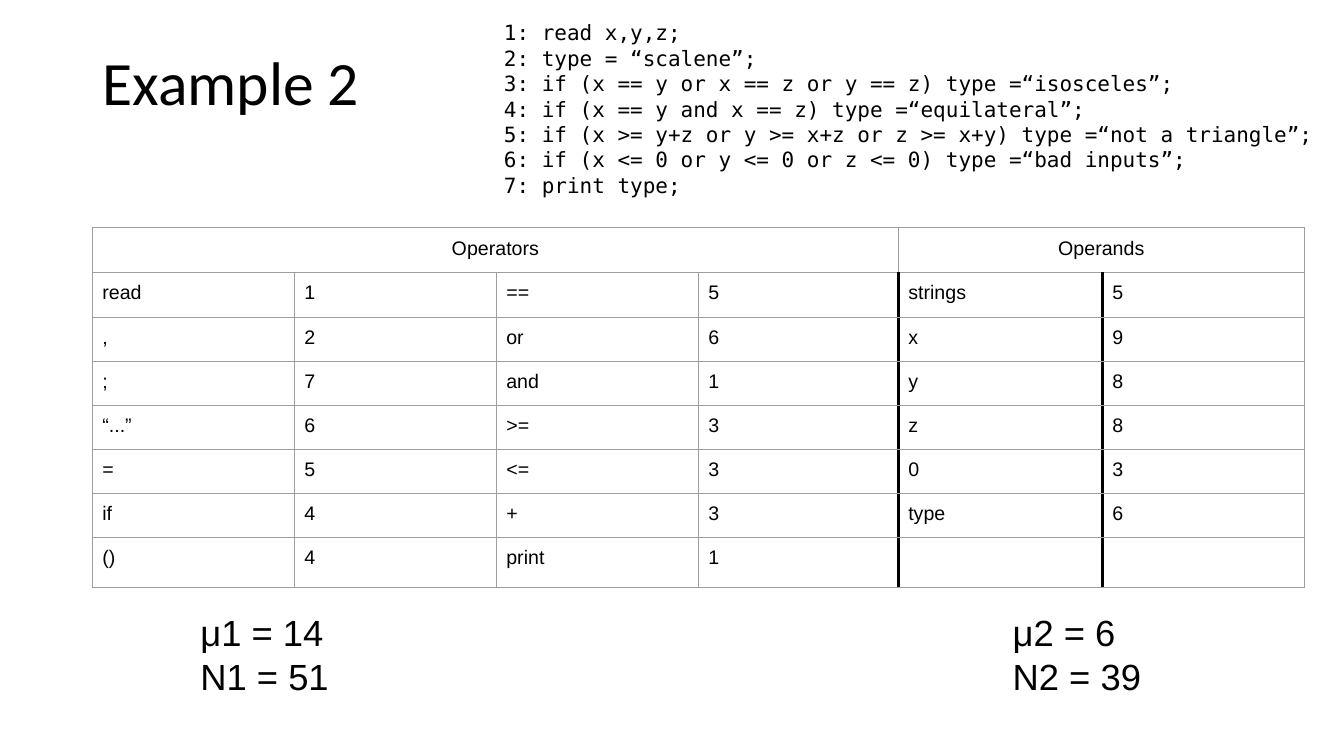
from lxml import etree
from pptx import Presentation
from pptx.dml.color import RGBColor
from pptx.enum import text
from pptx.oxml.ns import qn
from pptx.util import Cm, Pt

INSET = Cm(0.25)
LEFT, CENTER = text.PP_ALIGN.LEFT, text.PP_ALIGN.CENTER


def write(tf, lines, name, size, color="000000", align=LEFT, spacing=None):
    tf.word_wrap = True
    for i, line in enumerate(lines):
        p = tf.paragraphs[0] if i == 0 else tf.add_paragraph()
        p.alignment, p.line_spacing = align, spacing
        r = p.add_run()
        r.text = line
        for key, value in {"name": name, "size": Pt(size)}.items():
            setattr(r.font, key, value)
        r.font.color.rgb = RGBColor.from_string(color)


def set_border(cell, side, color, width):
    ln = etree.SubElement(cell._tc.get_or_add_tcPr(), qn(f"a:ln{side}"), w=str(Pt(width)))
    fill = etree.SubElement(ln, qn("a:solidFill"))
    etree.SubElement(fill, qn("a:srgbClr"), val=color)


prs = Presentation()
prs.slide_width, prs.slide_height = Cm(33.87), Cm(19.05)
s = prs.slides.add_slide(prs.slide_layouts[5])

title = s.shapes.title
for key, value in {"left": 2.33, "top": 1.02, "width": 29.21, "height": 2.25}.items():
    setattr(title, key, Cm(value))
title.text_frame.vertical_anchor = text.MSO_ANCHOR.MIDDLE
title.text_frame.auto_size = text.MSO_AUTO_SIZE.NONE
write(title.text_frame, ["Example 2"], "Calibri", 44, spacing=0.9)

code = [
    "1: read x,y,z;",
    "2: type = “scalene”;",
    "3: if (x == y or x == z or y == z) type =“isosceles”;",
    "4: if (x == y and x == z) type =“equilateral”;",
    "5: if (x >= y+z or y >= x+z or z >= x+y) type =“not a triangle”;",
    "6: if (x <= 0 or y <= 0 or z <= 0) type =“bad inputs”;",
    "7: print type;",
]
text_boxes = [
    (12.45, 0.25, 21.23, 5, code, "DejaVu Sans Mono", 15, 18.1),
    (4.8, 15.11, 4.4, 2.74, ["μ1 = 14", "N1 = 51"], "Arial", 26, 31.4),
    (25.27, 15.11, 4.4, 2.74, ["μ2 = 6", "N2 = 39"], "Arial", 26, 31.4),
]
for x, y, w, h, lines, font, size, pitch in text_boxes:
    tf = s.shapes.add_textbox(Cm(x), Cm(y), Cm(w), Cm(h)).text_frame
    for side in ("left", "top", "right", "bottom"):
        setattr(tf, f"margin_{side}", INSET)
    write(tf, lines, font, size, spacing=Pt(pitch))

rows = [
    ["Operators", "", "", "", "Operands", ""],
    ["read", "1", "==", "5", "strings", "5"],
    [",", "2", "or", "6", "x", "9"],
    [";", "7", "and", "1", "y", "8"],
    ["“...”", "6", ">=", "3", "z", "8"],
    ["=", "5", "<=", "3", "0", "3"],
    ["if", "4", "+", "3", "type", "6"],
    ["()", "4", "print", "1", "", ""],
]
col_widths = [5.09, 5.09, 5.09, 5.04, 5.14, 5.09]
row_heights = [1.13] * 2 + [1.11] * 5 + [1.25]
table = s.shapes.add_table(len(rows), len(col_widths), Cm(2.33), Cm(5.73),
                           Cm(sum(col_widths)), Cm(sum(row_heights))).table
table.first_row = table.horz_banding = False
for col, width in zip(table.columns, col_widths):
    col.width = Cm(width)
for row, height in zip(table.rows, row_heights):
    row.height = Cm(height)
table.cell(0, 0).merge(table.cell(0, 3))
table.cell(0, 4).merge(table.cell(0, 5))

thick_edges = {4: 3, 5: 2.25}  # column edge: width in points
for i, row in enumerate(rows):
    for j, value in enumerate(row):
        cell = table.cell(i, j)
        for side in ("left", "top", "right", "bottom"):
            setattr(cell, f"margin_{side}", INSET)
        for side, edge in (("L", j), ("R", j + 1), ("T", None), ("B", None)):
            if i > 0 and edge in thick_edges:
                set_border(cell, side, "000000", thick_edges[edge])
            else:
                set_border(cell, side, "9E9E9E", 0.75)
        cell.fill.background()
        if value:
            write(cell.text_frame, [value], "Arial", 14, align=LEFT if i else CENTER)

prs.save("out.pptx")
